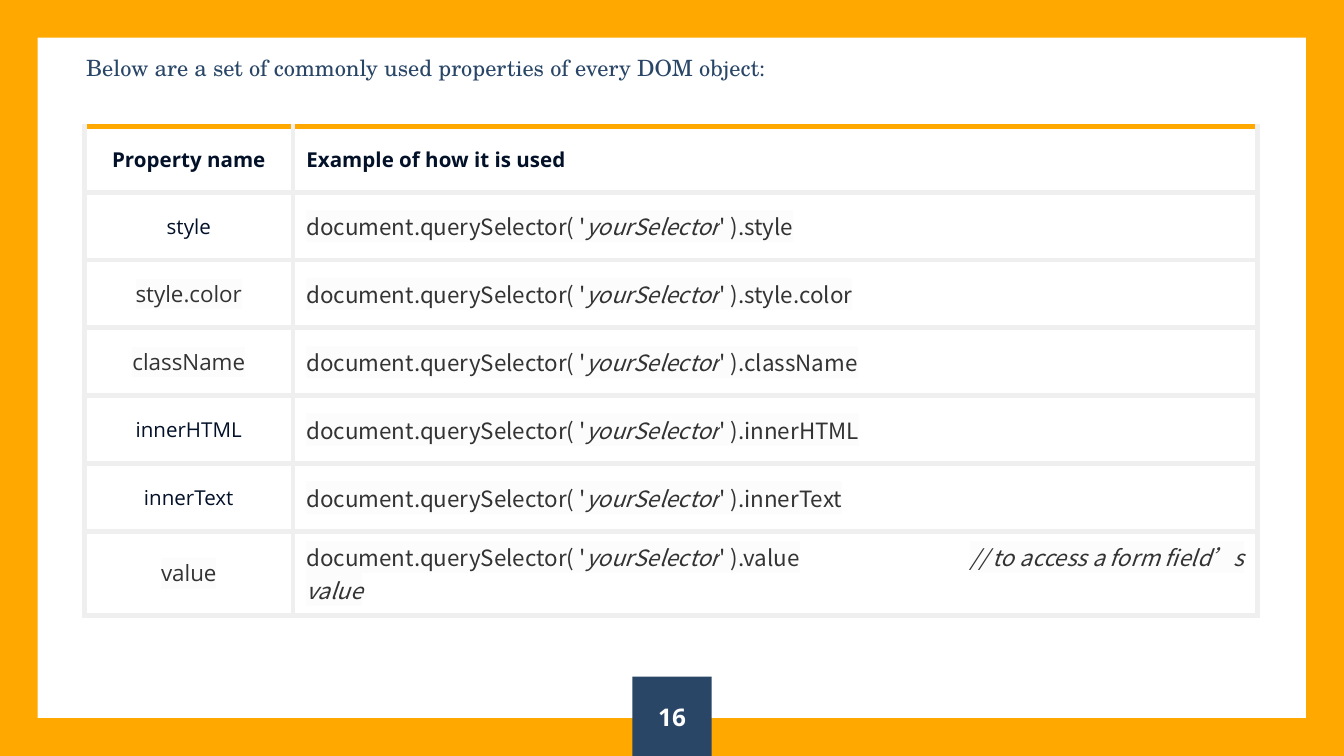
from lxml import etree
from pptx import Presentation
from pptx.dml.color import RGBColor
from pptx.enum import shapes, text
from pptx.oxml import ns
from pptx.util import Inches, Pt

COLORS = {"orange": "FFA800", "navy": "294667", "ink": "021028", "code": "333333",
          "highlight": "FCFCFC", "border": "EFEFEF", "white": "FFFFFF"}
BODY, CODE, SERIF = "Open Sans", "Noto Sans CJK SC", "TeX Gyre Schola"

HEADING = "Below are a set of commonly used properties of every DOM object:"
PAGE = "16"
HEADERS = ("Property name", "Example of how it is used")
PROPERTIES = [
    ("style", False, ""),
    ("style.color", True, ""),
    ("className", True, ""),
    ("innerHTML", False, ""),
    ("innerText", False, ""),
    ("value", True, "// to access a form field’s value"),
]
SLIDE_WIDTH = 10
SLIDE_HEIGHT = SLIDE_WIDTH * 9 / 16
BADGE_SIZE = 0.59
COLUMN_WIDTHS = (1.55, 7.18)
TABLE_HEIGHT, HEADER_HEIGHT = 3.52, 0.49
ROW_HEIGHT = (TABLE_HEIGHT - HEADER_HEIGHT) / len(PROPERTIES)
COMMENT_TAB = 4.94


def color(name):
    return RGBColor.from_string(COLORS[name])


def add_xml(parent, tag, **attributes):
    return etree.SubElement(parent, ns.qn(tag), **attributes)


def style_run(run, size, face, ink, bold=False, italic=False, highlight=False):
    font = run.font
    font.size, font.name, font.bold, font.italic = Pt(size), face, bold, italic
    font.color.rgb = color(ink)
    properties = run._r.get_or_add_rPr()
    if highlight:
        mark = etree.Element(ns.qn("a:highlight"))
        add_xml(mark, "a:srgbClr", val=COLORS["highlight"])
        properties.find(ns.qn("a:solidFill")).addnext(mark)
    for tag in ("a:ea", "a:cs"):
        add_xml(properties, tag, typeface=face)


def set_margins(frame, size=0.1):
    frame.margin_left = frame.margin_right = Inches(size)
    frame.margin_top = frame.margin_bottom = Inches(size)


def prepare_cell(cell, top, centred):
    cell.fill.background()
    cell.vertical_anchor = text.MSO_ANCHOR.MIDDLE
    cell.margin_left = cell.margin_right = Inches(0.1)
    cell.margin_top = cell.margin_bottom = Inches(0.07)
    properties = cell._tc.get_or_add_tcPr()
    for index, side in enumerate(("L", "R", "T", "B")):
        line = etree.Element(ns.qn(f"a:ln{side}"), w=str(Pt(3)))
        fill = add_xml(line, "a:solidFill")
        add_xml(fill, "a:srgbClr", val=COLORS[top if side == "T" else "border"])
        properties.insert(index, line)
    paragraph = cell.text_frame.paragraphs[0]
    paragraph.alignment = text.PP_ALIGN.CENTER if centred else text.PP_ALIGN.LEFT
    return paragraph


def add_text(paragraph, wording, *style, **options):
    run = paragraph.add_run()
    run.text = wording
    style_run(run, *style, **options)


def fill_shape(shape, name):
    shape.shadow.inherit = False
    shape.fill.solid()
    shape.fill.fore_color.rgb = color(name)
    shape.line.fill.background()


deck = Presentation()
deck.slide_width, deck.slide_height = Inches(SLIDE_WIDTH), Inches(SLIDE_HEIGHT)
slide = deck.slides.add_slide(deck.slide_layouts[5])

border = slide.shapes.add_shape(shapes.MSO_SHAPE.FRAME, 0, 0, deck.slide_width, deck.slide_height)
border.adjustments[0] = 0.05
fill_shape(border, "orange")
slide.shapes._spTree.insert(2, border._element)

badge = slide.shapes.add_shape(shapes.MSO_SHAPE.RECTANGLE,
                               Inches((SLIDE_WIDTH - BADGE_SIZE) / 2),
                               Inches(SLIDE_HEIGHT - BADGE_SIZE),
                               Inches(BADGE_SIZE), Inches(BADGE_SIZE))
fill_shape(badge, "navy")
set_margins(badge.text_frame)
badge.text_frame.vertical_anchor = text.MSO_ANCHOR.MIDDLE
page = badge.text_frame.paragraphs[0]
page.alignment = text.PP_ALIGN.CENTER
add_text(page, PAGE, 13, BODY, "white", bold=True)

heading = slide.shapes.title
heading.left, heading.top, heading.width, heading.height = map(Inches, (0.54, 0.3, 8.92, 0.51))
frame = heading.text_frame
set_margins(frame)
frame.word_wrap = True
frame.auto_size = text.MSO_AUTO_SIZE.NONE
frame.vertical_anchor = text.MSO_ANCHOR.TOP
frame.text = HEADING
frame.paragraphs[0].alignment = text.PP_ALIGN.LEFT
style_run(frame.paragraphs[0].runs[0], 12, SERIF, "navy")

table = slide.shapes.add_table(len(PROPERTIES) + 1, len(HEADERS), Inches(0.63), Inches(0.94),
                               Inches(sum(COLUMN_WIDTHS)), Inches(TABLE_HEIGHT)).table
table.horz_banding = False
table.first_row = False
for column, width in zip(table.columns, COLUMN_WIDTHS):
    column.width = Inches(width)
for index, row in enumerate(table.rows):
    row.height = Inches(ROW_HEIGHT if index else HEADER_HEIGHT)

for column, header in enumerate(HEADERS):
    paragraph = prepare_cell(table.cell(0, column), "orange", column == 0)
    add_text(paragraph, header, 11, BODY, "ink", bold=True)

for index, (name, marked, comment) in enumerate(PROPERTIES, 1):
    label = prepare_cell(table.cell(index, 0), "border", True)
    add_text(label, name, 12 if marked else 11, BODY, "code" if marked else "ink", highlight=marked)
    example = prepare_cell(table.cell(index, 1), "border", False)
    parts = [("document.querySelector( '", False), ("yourSelector", True),
             (f"' ).{name}" + ("\t" if comment else ""), False)]
    if comment:
        parts.append((comment, True))
        tabs = add_xml(example._p.get_or_add_pPr(), "a:tabLst")
        add_xml(tabs, "a:tab", pos=str(Inches(COMMENT_TAB)), algn="l")
    for wording, italic in parts:
        add_text(example, wording, 12, CODE, "code", italic=italic, highlight=True)

deck.save("out.pptx")
